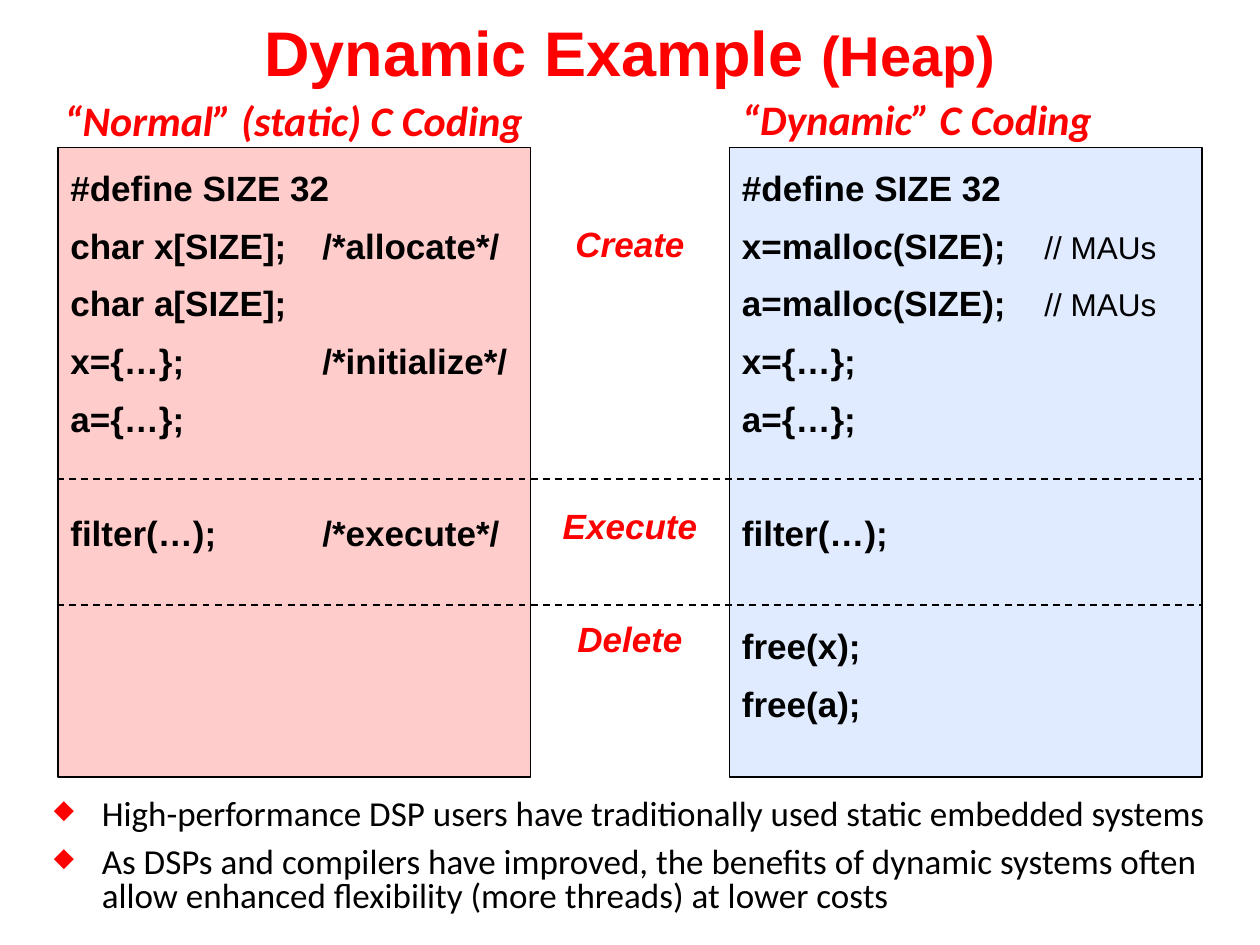
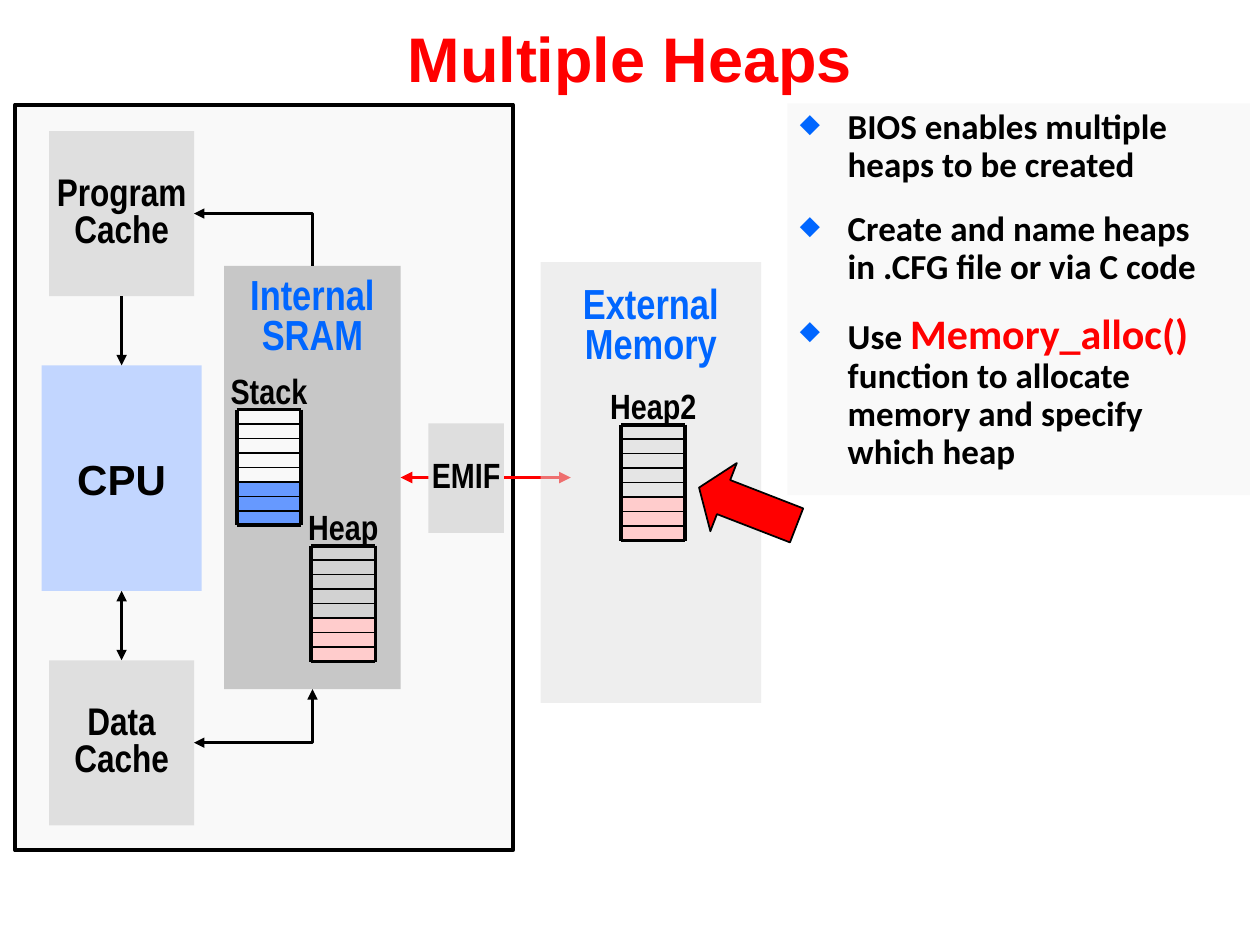
from lxml import etree
from pptx import Presentation
from pptx.dml.color import RGBColor
from pptx.enum.dml import MSO_LINE
from pptx.enum.shapes import MSO_CONNECTOR, MSO_SHAPE
from pptx.enum.text import MSO_ANCHOR, MSO_AUTO_SIZE, PP_ALIGN
from pptx.oxml.ns import qn
from pptx.util import Inches, Pt

RECT, LEFT_ARROW = MSO_SHAPE.RECTANGLE, MSO_SHAPE.LEFT_ARROW
STRAIGHT, ELBOW = MSO_CONNECTOR.STRAIGHT, MSO_CONNECTOR.ELBOW
LEFT, CENTER = PP_ALIGN.LEFT, PP_ALIGN.CENTER
TOP, MIDDLE = MSO_ANCHOR.TOP, MSO_ANCHOR.MIDDLE
NO_FIT = MSO_AUTO_SIZE.NONE
DASH = MSO_LINE.DASH
SIDE_TOP, SIDE_BOTTOM, SIDE_RIGHT = 0, 2, 3

RED, BLUE, BLACK, WHITE = "FF0000", "0066FF", "000000", "FFFFFF"
PINK, PALE_BLUE, CPU_BLUE, STACK_BLUE = "FFCCCC", "E0EBFF", "C2D6FF", "6699FF"
PAPER, LIGHT_GREY, GREY = "F9F9F9", "DEDEDE", "C7C7C7"

SANS, NARROW, BODY = "Arial", "Arial Narrow", "Calibri"
CODE_GAP, CODE_PITCH = 9, 32    # points between code lines, and line to line


def color(value):
    return RGBColor.from_string(value)


def add_xml(parent, tag, **attributes):
    return etree.SubElement(parent, qn(tag), attributes)


class Deck:
    """Holds the shared style and the slide being built."""

    def __init__(self):
        self.prs = Presentation()
        self.prs.slide_width, self.prs.slide_height = Inches(10), Inches(7.5)
        self.slide = None

    def new_slide(self, title, inset_top=0.05):
        self.slide = self.prs.slides.add_slide(self.prs.slide_layouts[5])
        heading = self.slide.shapes.title
        heading.left, heading.top = Inches(0), Inches(0)
        heading.width, heading.height = Inches(10), Inches(0.81)
        self.set_text(heading, [title], size=36, ink=RED, align=CENTER,
                      anchor=MIDDLE, insets=(0.1, inset_top, 0.1, 0.05))

    def set_text(self, shape, paragraphs, size=20, font=SANS, ink=BLACK, bold=True,
                 italic=False, align=LEFT, anchor=TOP, insets=(0, 0, 0, 0),
                 wrap=True, spacing=None, gaps=(), bullet=None, tab=None):
        """Each paragraph is a string or a list of strings and (string, overrides)."""
        frame = shape.text_frame
        frame.auto_size, frame.word_wrap = NO_FIT, wrap
        frame.vertical_anchor = anchor
        (frame.margin_left, frame.margin_top,
         frame.margin_right, frame.margin_bottom) = map(Inches, insets)
        for index, runs in enumerate(paragraphs):
            paragraph = frame.add_paragraph() if index else frame.paragraphs[0]
            properties = paragraph._p.get_or_add_pPr()
            if bullet:
                self.add_bullet(properties, bullet)
            if tab:
                stops = add_xml(properties, "a:tabLst")
                add_xml(stops, "a:tab", pos=str(Inches(tab)), algn="l")
            paragraph.alignment = align
            if spacing:
                paragraph.line_spacing = spacing
            if index and gaps:
                paragraph.space_before = Pt(gaps[index - 1])
            base = dict(size=size, font=font, ink=ink, bold=bold, italic=italic)
            for part in [runs] if isinstance(runs, str) else runs:
                words, changes = (part, {}) if isinstance(part, str) else part
                self.add_run(paragraph, words, **{**base, **changes})

    def add_run(self, paragraph, words, size, font, ink, bold, italic):
        for index, line in enumerate(words.split("\n")):
            if index:
                paragraph.add_line_break()
            run = paragraph.add_run()
            run.text = line
            run.font.size, run.font.name = Pt(size), font
            run.font.bold, run.font.italic = bold, italic
            run.font.color.rgb = color(ink)

    def add_bullet(self, properties, ink):
        hang = Inches(0.38)
        properties.set("marL", str(hang))
        properties.set("indent", str(-hang))
        add_xml(add_xml(properties, "a:buClr"), "a:srgbClr", val=ink)
        add_xml(properties, "a:buSzPct", val="75000")
        add_xml(properties, "a:buChar", char="◆")

    def shape(self, left, top, width, height, fill, alpha=None, line=None, kind=RECT):
        box = self.slide.shapes.add_shape(
            kind, Inches(left), Inches(top), Inches(width), Inches(height))
        box.shadow.inherit = False
        box.fill.solid()
        box.fill.fore_color.rgb = color(fill)
        if alpha:
            swatch = box._element.spPr.find(qn("a:solidFill"))[0]
            add_xml(swatch, "a:alpha", val=str(alpha * 1000))
        if line:
            box.line.color.rgb, box.line.width = color(BLACK), Pt(line)
        else:
            box.line.fill.background()
        return box

    def text(self, left, top, width, height, paragraphs, **style):
        box = self.slide.shapes.add_textbox(
            Inches(left), Inches(top), Inches(width), Inches(height))
        self.set_text(box, paragraphs, **style)

    def line(self, x1, y1, x2, y2, width=1, ink=BLACK, dash=None,
             head=False, tail=False, bent=False, begin=None, end=None):
        link = self.slide.shapes.add_connector(
            ELBOW if bent else STRAIGHT,
            Inches(x1), Inches(y1), Inches(x2), Inches(y2))
        if begin:
            link.begin_connect(*begin)
        if end:
            link.end_connect(*end)
        link.line.color.rgb, link.line.width = color(ink), Pt(width)
        if dash:
            link.line.dash_style = dash
        properties = link._element.spPr
        if bent:
            properties.find(qn("a:prstGeom")).set("prst", "bentConnector2")
        outline = properties.find(qn("a:ln"))
        for wanted, tag in ((head, "a:headEnd"), (tail, "a:tailEnd")):
            if wanted:
                add_xml(outline, tag, type="triangle")
        add_xml(properties, "a:effectLst")

    def memory_block(self, left, top, label, label_width, used, free, free_alpha=None):
        """Eight cells in a heavy frame: five free, then three in use."""
        cells, free_cells, width, height = 8, 5, 0.51, 0.92
        pitch, right, bottom = height / cells, left + width, top + height
        for row in range(cells):
            is_free = row < free_cells
            self.shape(left, top + row * pitch, width, pitch,
                       free if is_free else used, free_alpha if is_free else None)
        for row in range(cells + 1):
            y = top + row * pitch
            self.line(left, y, right, y, 2.25 if row in (0, cells) else 1)
        for x in (left, right):
            self.line(x, top, x, bottom, 2.25)
        self.text(left + (width - label_width) / 2, top - 0.25, label_width, 0.27,
                  [label], font=NARROW, align=CENTER, wrap=False, spacing=0.8)


def code_gaps(*skipped_rows):
    return [CODE_GAP + rows * CODE_PITCH for rows in skipped_rows]


def dynamic_example(deck):
    deck.new_slide(["Dynamic Example ", ("(Heap)", {"size": 32})])
    code_top, code_width, code_height = 1.17, 3.75, 5
    static_left, dynamic_left = 0.46, 5.79
    code_insets = (0.1, 0.15, 0.1, 0.05)

    # Static and dynamic code
    static_code = deck.shape(static_left, code_top, code_width, code_height, PINK, line=1)
    deck.set_text(static_code, [
        "#define SIZE 32",
        "char x[SIZE];\t/*allocate*/",
        "char a[SIZE];",
        "x={…};\t/*initialize*/",
        "a={…};",
        "filter(…);\t/*execute*/",
    ], insets=code_insets, gaps=code_gaps(0, 0, 0, 0, 1), tab=2)

    remark = ("\t// MAUs", {"size": 18, "bold": False})
    dynamic_code = deck.shape(dynamic_left, code_top, code_width, code_height,
                              PALE_BLUE, line=1)
    deck.set_text(dynamic_code, [
        "#define SIZE 32",
        ["x=malloc(SIZE);", remark],
        ["a=malloc(SIZE);", remark],
        "x={…};",
        "a={…};",
        "filter(…);",
        "free(x);",
        "free(a);",
    ], insets=code_insets, gaps=code_gaps(0, 0, 0, 0, 1, 1, 0), tab=2.4)

    # Headings above the code
    heading = dict(size=24, font=BODY, ink=RED, italic=True, wrap=False,
                   insets=(0.1, 0, 0.1, 0))
    deck.text(0.39, 0.75, 3.88, 0.4, ["“Normal” (static) C Coding"],
              align=CENTER, **heading)
    deck.text(dynamic_left, 0.74, 3, 0.4, ["“Dynamic” C Coding"], **heading)

    # Phases, level with the code lines they name
    first_phase = code_top + CODE_PITCH / 72
    deck.text(4.21, first_phase, 1.58, code_height - CODE_PITCH / 72,
              ["Create", "Execute", "Delete"], ink=RED, italic=True,
              align=CENTER, insets=code_insets, gaps=code_gaps(4, 1))

    # Remarks
    remarks = deck.shape(0.33, 6.3, 9.5, 1.04, WHITE, alpha=50)
    deck.set_text(remarks, [
        "High-performance DSP users have traditionally used static embedded systems",
        "As DSPs and compilers have improved, the benefits of dynamic systems often "
        "allow enhanced flexibility (more threads) at lower costs",
    ], font=BODY, bold=False, insets=(0.1, 0.05, 0.1, 0.05), spacing=0.8,
        gaps=[8], bullet=RED)

    # Borders between the phases
    for y in (3.8, 4.8):
        deck.line(0.45, y, 9.53, y, dash=DASH)


def multiple_heaps(deck):
    deck.new_slide(["Multiple Heaps"], inset_top=0.15)
    narrow = dict(font=NARROW, align=CENTER, spacing=0.8)

    # Chip with its processor, caches and internal memory
    deck.shape(0.12, 0.83, 3.95, 5.92, PAPER, line=2.25)
    sram = deck.shape(1.78, 2.11, 1.4, 3.36, GREY)
    deck.set_text(sram, ["Internal", "SRAM"], size=24, ink=BLUE,
                  insets=(0, 0.1, 0, 0), wrap=False, **narrow)
    cpu = deck.shape(0.33, 2.9, 1.27, 1.79, CPU_BLUE)
    deck.set_text(cpu, ["CPU"], size=24, align=CENTER, anchor=MIDDLE)
    caches = []
    for name, top in (("Program\nCache", 1.04), ("Data\nCache", 5.24)):
        cache = deck.shape(0.39, top, 1.15, 1.31, GREY, alpha=50)
        deck.set_text(cache, [name], size=22, anchor=MIDDLE, wrap=False, **narrow)
        caches.append(cache)
    program_cache, data_cache = caches

    # Data paths on the chip
    deck.line(0.97, 2.35, 0.97, 2.9, 1.5, tail=True,
              begin=(program_cache, SIDE_BOTTOM), end=(cpu, SIDE_TOP))
    deck.line(0.97, 5.24, 0.97, 4.69, 1.5, head=True, tail=True,
              begin=(data_cache, SIDE_TOP), end=(cpu, SIDE_BOTTOM))
    deck.line(1.54, 1.69, 2.48, 2.11, 1.5, head=True, bent=True,
              begin=(program_cache, SIDE_RIGHT), end=(sram, SIDE_TOP))
    deck.line(1.54, 5.89, 2.48, 5.47, 1.5, head=True, tail=True, bent=True,
              begin=(data_cache, SIDE_RIGHT), end=(sram, SIDE_BOTTOM))

    # Path through the memory interface to external memory
    deck.line(3.18, 3.79, 4.53, 3.79, 2.25, RED, head=True, tail=True,
              begin=(sram, SIDE_RIGHT))
    emif = deck.shape(3.4, 3.36, 0.6, 0.87, LIGHT_GREY)
    deck.set_text(emif, ["EMIF"], anchor=MIDDLE, wrap=False, **narrow)
    external = deck.shape(4.29, 2.08, 1.75, 3.5, LIGHT_GREY, alpha=50)
    deck.set_text(external, ["External Memory"], size=24, ink=BLUE,
                  insets=(0, 0.2, 0, 0), **narrow)

    # Stack and heaps
    deck.memory_block(1.88, 3.25, "Stack", 0.61, STACK_BLUE, PAPER)
    deck.memory_block(2.47, 4.33, "Heap", 0.56, PINK, LIGHT_GREY, 50)
    deck.memory_block(4.93, 3.37, "Heap2", 0.68, PINK, LIGHT_GREY, 50)

    # Remarks and the arrow to the second heap
    remarks = deck.shape(6.25, 0.82, 3.67, 3.11, PAPER)
    deck.set_text(remarks, [
        "BIOS enables multiple heaps to be created",
        "Create and name heaps in .CFG file or via C code",
        ["Use ", ("Memory_alloc()", {"size": 24, "ink": RED}),
         " function to allocate memory and specify which heap"],
    ], font=BODY, insets=(0.1, 0.05, 0.1, 0.15), spacing=0.9,
        gaps=[15, 15], bullet=BLUE)
    pointer = deck.shape(5.52, 3.73, 0.83, 0.58, RED, line=1, kind=LEFT_ARROW)
    pointer.adjustments[0], pointer.adjustments[1] = 0.5, 0.36
    pointer.rotation = 21.2


def main():
    deck = Deck()
    dynamic_example(deck)
    multiple_heaps(deck)
    deck.prs.save("out.pptx")


if __name__ == "__main__":
    main()
